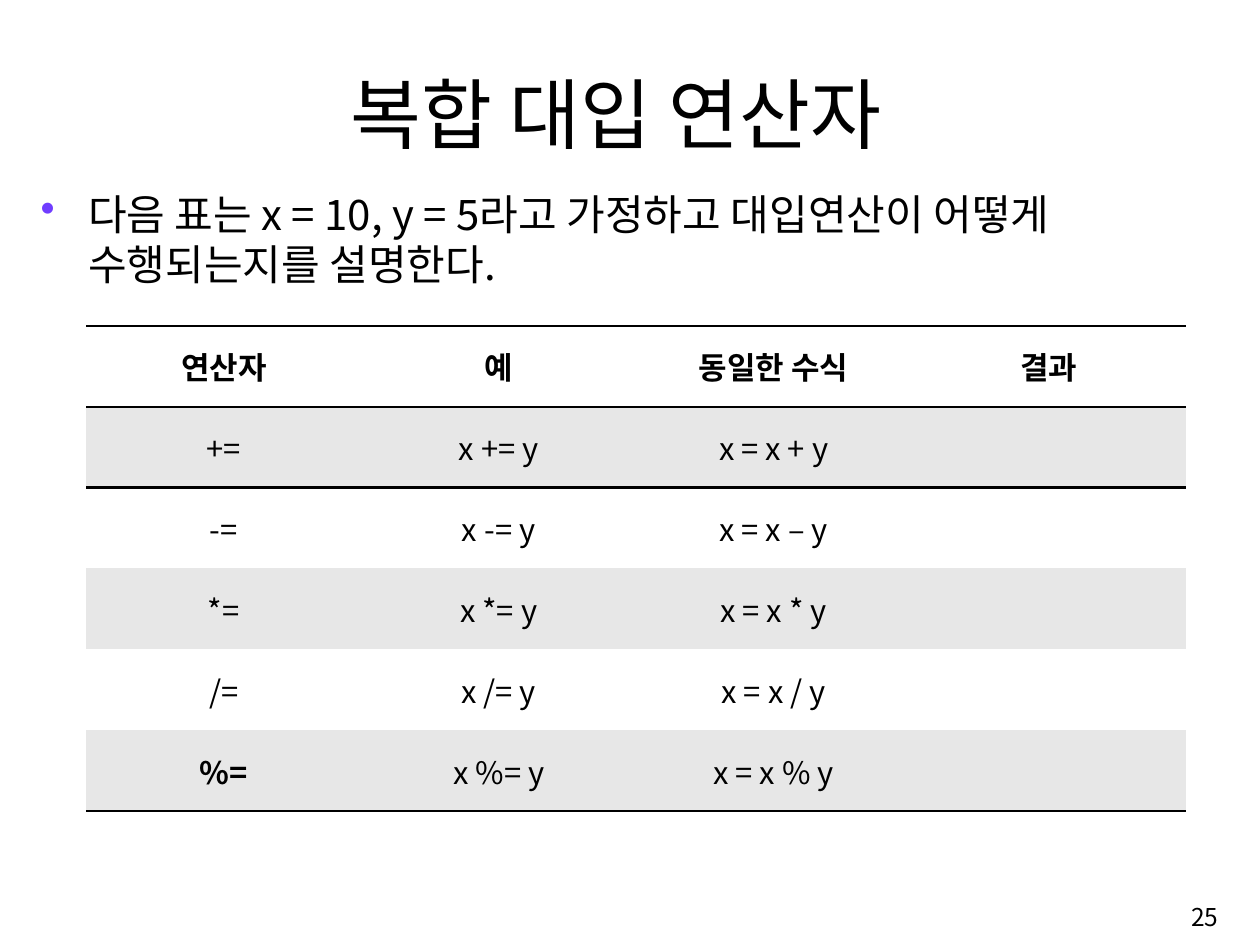
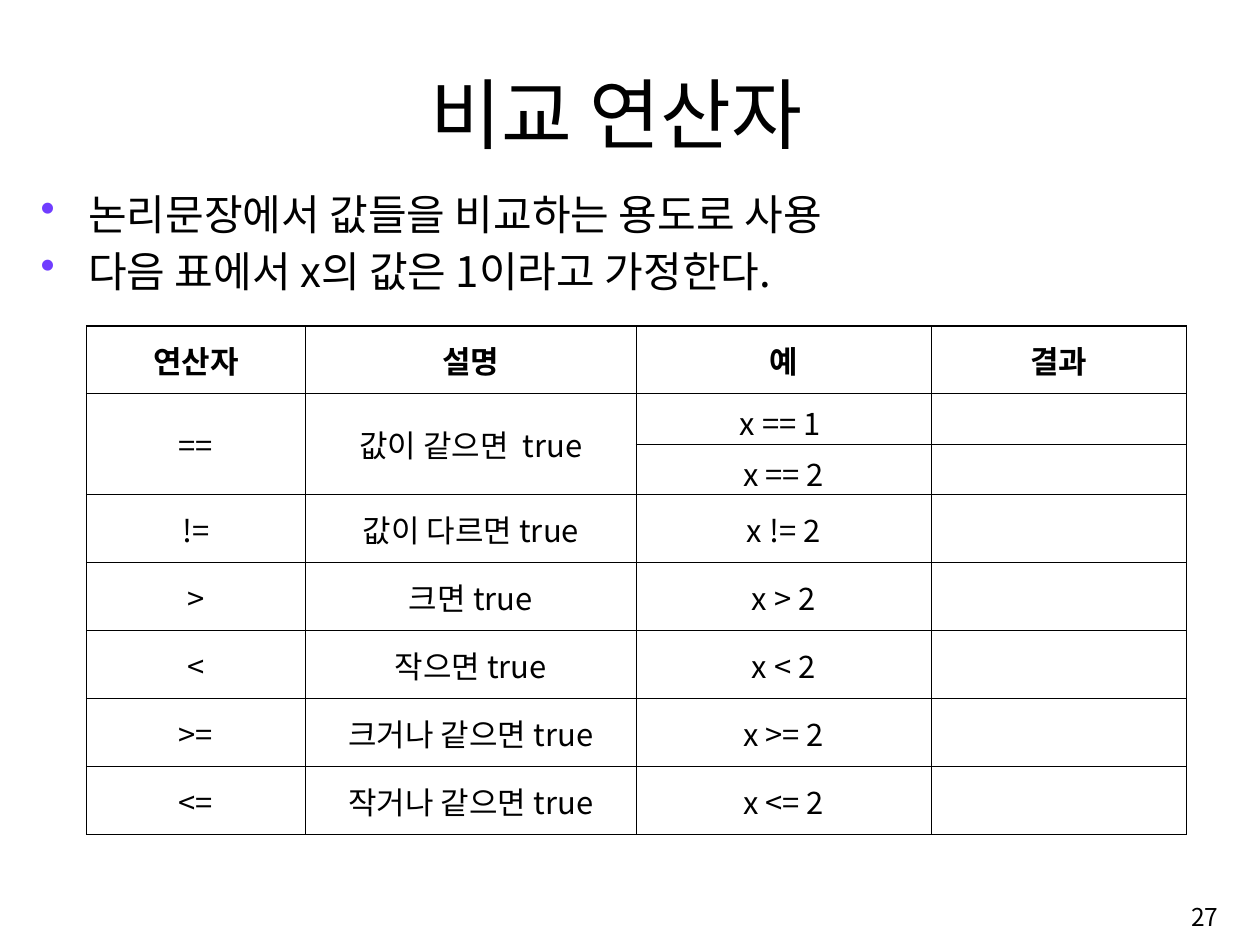
"""Build two slides on compound assignment and comparison operators."""
import dataclasses

import lxml.etree
import pptx
import pptx.dml.color
import pptx.enum.text
import pptx.oxml
import pptx.oxml.ns
import pptx.util

Pt = pptx.util.Pt
RGB = pptx.dml.color.RGBColor.from_string
ALIGN = pptx.enum.text.PP_ALIGN
ANCHOR = pptx.enum.text.MSO_ANCHOR
qn = pptx.oxml.ns.qn


@dataclasses.dataclass(frozen=True)
class Theme:
    font: str = "Noto Sans CJK KR"
    ink: str = "000000"
    paper: str = "FFFFFF"
    band: str = "E7E7E7"
    bullet: str = "703DFF"
    title_size: float = 57.2
    body_size: float = 31.2
    cell_size: float = 23
    number_size: float = 18.2
    plain_table: str = "{2D5ABB26-0587-4C30-8999-92F81FD0307C}"


THEME = Theme()


def write(paragraph, text, size, align, bold=False):
    paragraph.alignment = align
    run = paragraph.add_run()
    run.text = text
    formats = {"name": THEME.font, "size": Pt(size), "bold": bold}
    for key, value in formats.items():
        setattr(run.font, key, value)
    run.font.color.rgb = RGB(THEME.ink)
    east_asian = lxml.etree.SubElement(run.font._element, qn("a:ea"))
    east_asian.set("typeface", THEME.font)


def add_border(cell, side, width):
    cell._tc.get_or_add_tcPr().append(pptx.oxml.parse_xml(
        f'<a:ln{side} {pptx.oxml.ns.nsdecls("a")} w="{Pt(width)}"><a:solidFill>'
        f'<a:srgbClr val="{THEME.ink}"/></a:solidFill></a:ln{side}>'))


lessons = [
    {
        "title": "복합 대입 연산자",
        "points": ["다음 표는 x = 10, y = 5라고 가정하고 대입연산이 어떻게 수행되는지를 설명한다."],
        "number": "25",
        "columns": [204.12] * 4,
        "row_heights": [60] * 6,
        "grid": False,
        "merges": [],
        "bold_cells": [(5, 0)],
        "rows": [
            ["연산자", "예", "동일한 수식", "결과"],
            ["+=", "x += y", "x = x + y", ""],
            ["-=", "x -= y", "x = x – y", ""],
            ["*=", "x *= y", "x = x * y", ""],
            ["/=", "x /= y", "x = x / y", ""],
            ["%=", "x %= y", "x = x % y", ""],
        ],
    },
    {
        "title": "비교 연산자",
        "points": ["논리문장에서 값들을 비교하는 용도로 사용", "다음 표에서 x의 값은 1이라고 가정한다."],
        "number": "27",
        "columns": [162.7, 245.5, 218.9, 189.4],
        "row_heights": [50.4, 37.5, 37.5] + [50.4] * 5,
        "grid": True,
        "merges": [((1, 0), (2, 0)), ((1, 1), (2, 1))],
        "bold_cells": [],
        "rows": [
            ["연산자", "설명", "예", "결과"],
            ["==", "값이 같으면  true", "x == 1 ", ""],
            ["", "", "x == 2", ""],
            ["!=", "값이 다르면 true", "x != 2", ""],
            [">", "크면 true", "x > 2", ""],
            ["<", "작으면 true", "x < 2", ""],
            [">=", "크거나 같으면 true", "x >= 2", ""],
            ["<=", "작거나 같으면 true", "x <= 2", ""],
        ],
    },
]

deck = pptx.Presentation()
deck.slide_width, deck.slide_height = Pt(935.3), Pt(701.3)

for lesson in lessons:
    slide = deck.slides.add_slide(deck.slide_layouts[5])
    slide.background.fill.solid()
    slide.background.fill.fore_color.rgb = RGB(THEME.paper)

    title = slide.shapes.title
    placement = {"left": 75.6, "top": 43.9, "width": 763.9, "height": 77.8}
    for key, value in placement.items():
        setattr(title, key, Pt(value))
    title.text_frame.auto_size = pptx.enum.text.MSO_AUTO_SIZE.NONE
    title.text_frame.vertical_anchor = ANCHOR.BOTTOM
    write(title.text_frame.paragraphs[0], lesson["title"], THEME.title_size, ALIGN.CENTER)

    points = slide.shapes.add_textbox(Pt(23), Pt(136.1), Pt(887), Pt(508.3)).text_frame
    points.word_wrap = True
    for index, point in enumerate(lesson["points"]):
        paragraph = points.add_paragraph() if index else points.paragraphs[0]
        write(paragraph, point, THEME.body_size, ALIGN.LEFT)
        paragraph.space_before = Pt(5)
        properties = paragraph._p.get_or_add_pPr()
        properties.set("marL", str(Pt(35.3)))
        properties.set("indent", str(-Pt(35.3)))
        bullet_color = lxml.etree.SubElement(properties, qn("a:buClr"))
        lxml.etree.SubElement(bullet_color, qn("a:srgbClr")).set("val", THEME.bullet)
        lxml.etree.SubElement(properties, qn("a:buChar")).set("char", "•")

    rows, columns, heights = lesson["rows"], lesson["columns"], lesson["row_heights"]
    operators = slide.shapes.add_table(
        len(rows), len(columns), Pt(64.1), Pt(241.9), Pt(sum(columns)), Pt(sum(heights))).table
    operators._tbl.tblPr.find(qn("a:tableStyleId")).text = THEME.plain_table
    operators.first_row = operators.horz_banding = False
    for column, width in zip(operators.columns, columns):
        column.width = Pt(width)
    for row, height in zip(operators.rows, heights):
        row.height = Pt(height)
    for first, last in lesson["merges"]:
        operators.cell(*first).merge(operators.cell(*last))

    for r, texts in enumerate(rows):
        if lesson["grid"]:
            borders = {"L": 1, "R": 1, "T": 1, "B": 1}
        else:
            borders = {"T": 2} if r < 2 else {}
            if r in (0, len(rows) - 1):
                borders["B"] = 2
        for c, text in enumerate(texts):
            cell = operators.cell(r, c)
            for side, width in borders.items():
                add_border(cell, side, width)
            if lesson["grid"]:
                cell.fill.background()
            else:
                cell.fill.solid()
                cell.fill.fore_color.rgb = RGB(THEME.band if r % 2 else THEME.paper)
            cell_format = {
                "margin_left": Pt(9.36), "margin_right": Pt(9.36),
                "margin_top": Pt(4.3), "margin_bottom": Pt(4.3),
                "vertical_anchor": ANCHOR.MIDDLE,
            }
            for key, value in cell_format.items():
                setattr(cell, key, value)
            if text:
                bold = r == 0 or (r, c) in lesson["bold_cells"]
                write(cell.text_frame.paragraphs[0], text, THEME.cell_size, ALIGN.CENTER, bold)

    page_number = slide.shapes.add_textbox(Pt(718.6), Pt(658.8), Pt(193), Pt(43.2)).text_frame
    page_number.word_wrap = True
    page_number.vertical_anchor = ANCHOR.MIDDLE
    write(page_number.paragraphs[0], lesson["number"], THEME.number_size, ALIGN.RIGHT)

deck.save("out.pptx")
